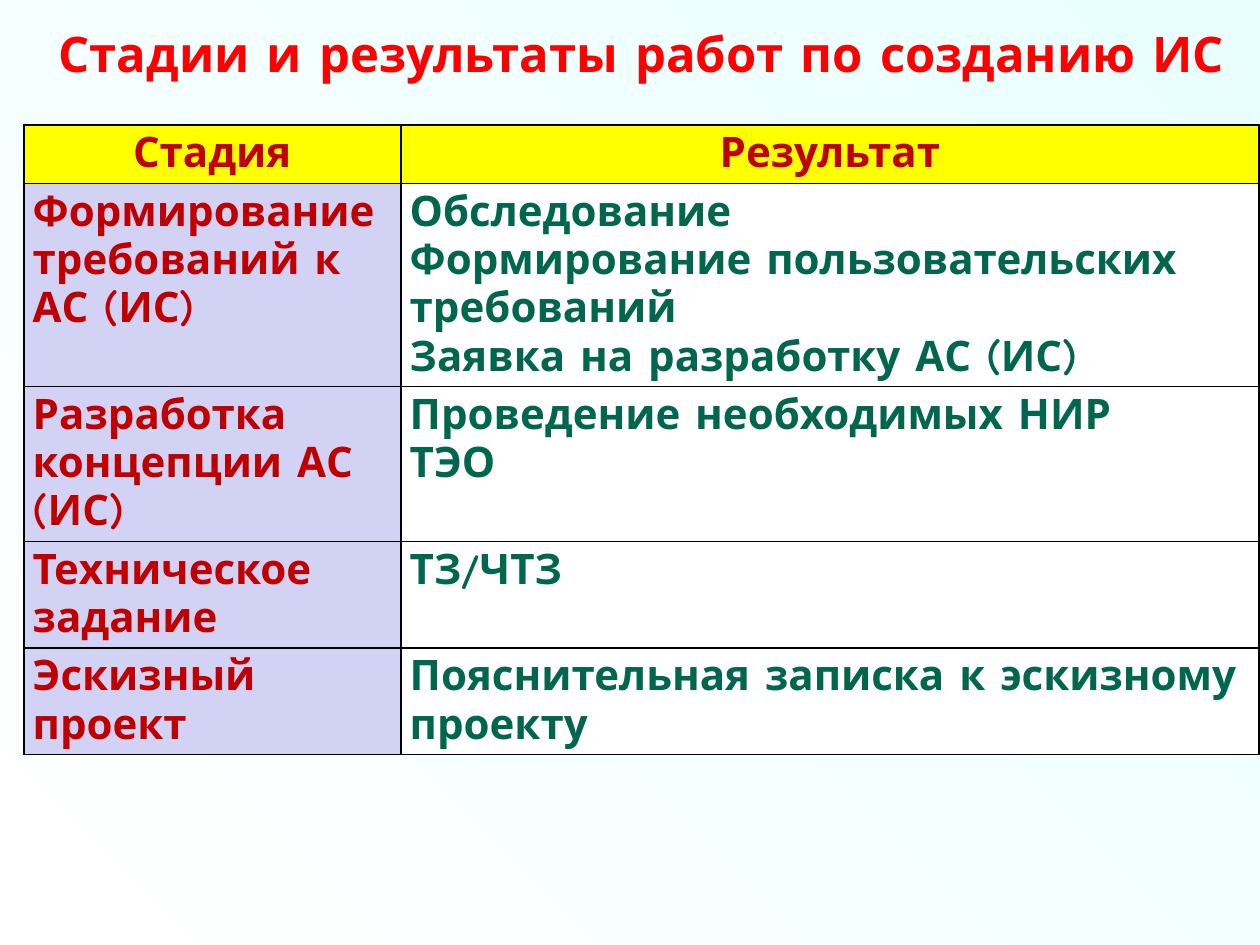
import pptx
import pptx.dml.color
import pptx.enum.text
import pptx.oxml.ns
import pptx.util
from lxml import etree

Cm = pptx.util.Cm
RGBColor = pptx.dml.color.RGBColor
Align = pptx.enum.text.PP_ALIGN
Anchor = pptx.enum.text.MSO_ANCHOR

RED = RGBColor(0xFF, 0x00, 0x00)
DARK_RED = RGBColor(0xC0, 0x00, 0x00)
GREEN = RGBColor(0x00, 0x66, 0x4D)
YELLOW = RGBColor(0xFF, 0xFF, 0x00)
LILAC = RGBColor(0xD2, 0xD2, 0xF4)
WHITE = RGBColor(0xFF, 0xFF, 0xFF)
PALE_CYAN = RGBColor(0xE9, 0xFF, 0xFF)
BLACK = RGBColor(0x00, 0x00, 0x00)

HEADINGS = ("Стадия", "Результат")
STAGES = [
    ("Формирование требований к АС (ИС)",
     "Обследование\nФормирование пользовательских требований\nЗаявка на разработку АС (ИС)"),
    ("Разработка концепции АС (ИС)", "Проведение необходимых НИР\nТЭО"),
    ("Техническое задание", "ТЗ/ЧТЗ"),
    ("Эскизный проект", "Пояснительная записка к эскизному проекту"),
]


class StageSlide:
    font = {"name": "Comic Neue", "bold": True}
    title_size = pptx.util.Pt(28)
    table_size = pptx.util.Pt(24)
    margins = {"margin_left": Cm(0.18), "margin_right": Cm(0.18),
               "margin_top": Cm(0.1), "margin_bottom": Cm(0.1)}

    def __init__(self, deck):
        self.page = deck.slides.add_slide(deck.slide_layouts[5])

    def apply(self, target, values):
        for name, value in values.items():
            setattr(target, name, value)

    def background(self, start, end):
        fill = self.page.background.fill
        fill.gradient()
        fill.gradient_angle = 45
        for stop, color in zip(fill.gradient_stops, (start, end)):
            stop.color.rgb = color

    def fill_text(self, frame, text, size, color, alignment):
        frame.text = text
        for para in frame.paragraphs:
            para.alignment = alignment
            for span in para.runs:
                self.apply(span.font, {**self.font, "size": size})
                span.font.color.rgb = color

    def title(self, text, place):
        box = self.page.shapes.title
        self.apply(box, place)
        self.apply(box.text_frame, {
            "word_wrap": True, "vertical_anchor": Anchor.MIDDLE,
            "auto_size": pptx.enum.text.MSO_AUTO_SIZE.NONE})
        self.fill_text(box.text_frame, text, self.title_size, RED, Align.CENTER)

    def border(self, cell):
        properties = cell._tc.get_or_add_tcPr()
        qn = pptx.oxml.ns.qn
        for index, side in enumerate(("lnL", "lnR", "lnT", "lnB")):
            line = etree.Element(qn(f"a:{side}"), w=str(pptx.util.Pt(1)))
            solid = etree.SubElement(line, qn("a:solidFill"))
            etree.SubElement(solid, qn("a:srgbClr"), val=str(BLACK))
            properties.insert(index, line)

    def cell(self, cell, text, fill, color, alignment, anchor):
        self.fill_text(cell.text_frame, text, self.table_size, color, alignment)
        self.apply(cell, {**self.margins, "vertical_anchor": anchor})
        cell.fill.solid()
        cell.fill.fore_color.rgb = fill
        self.border(cell)

    def table(self, rows, place, widths, heights):
        box = self.page.shapes.add_table(len(rows), len(widths), *place.values())
        for column, width in zip(box.table.columns, widths):
            column.width = width
        for row, height in zip(box.table.rows, heights):
            row.height = height
        self.apply(box, place)

        for row_index, texts in enumerate(rows):
            for column_index, text in enumerate(texts):
                if row_index == 0:
                    style = (YELLOW, DARK_RED, Align.CENTER, Anchor.MIDDLE)
                elif column_index == 0:
                    style = (LILAC, DARK_RED, Align.LEFT, Anchor.TOP)
                else:
                    style = (WHITE, GREEN, Align.LEFT, Anchor.TOP)
                self.cell(box.table.cell(row_index, column_index), text, *style)


def main():
    deck = pptx.Presentation()
    deck.slide_width, deck.slide_height = Cm(25.4), Cm(19.05)
    slide = StageSlide(deck)

    # Background and title
    slide.background(WHITE, PALE_CYAN)
    slide.title("Стадии и результаты работ по созданию ИС",
                {"left": Cm(0.48), "top": Cm(0.33), "width": Cm(24.9), "height": Cm(1.48)})

    # Table of stages and their results
    slide.table([HEADINGS, *STAGES],
                {"left": Cm(0.48), "top": Cm(2.52), "width": Cm(24.9), "height": Cm(13.13)},
                [Cm(7.6), Cm(17.3)],
                [Cm(height) for height in (0.94, 2.46, 1.7, 1.22, 1.22)])

    deck.save("out.pptx")


if __name__ == "__main__":
    main()
